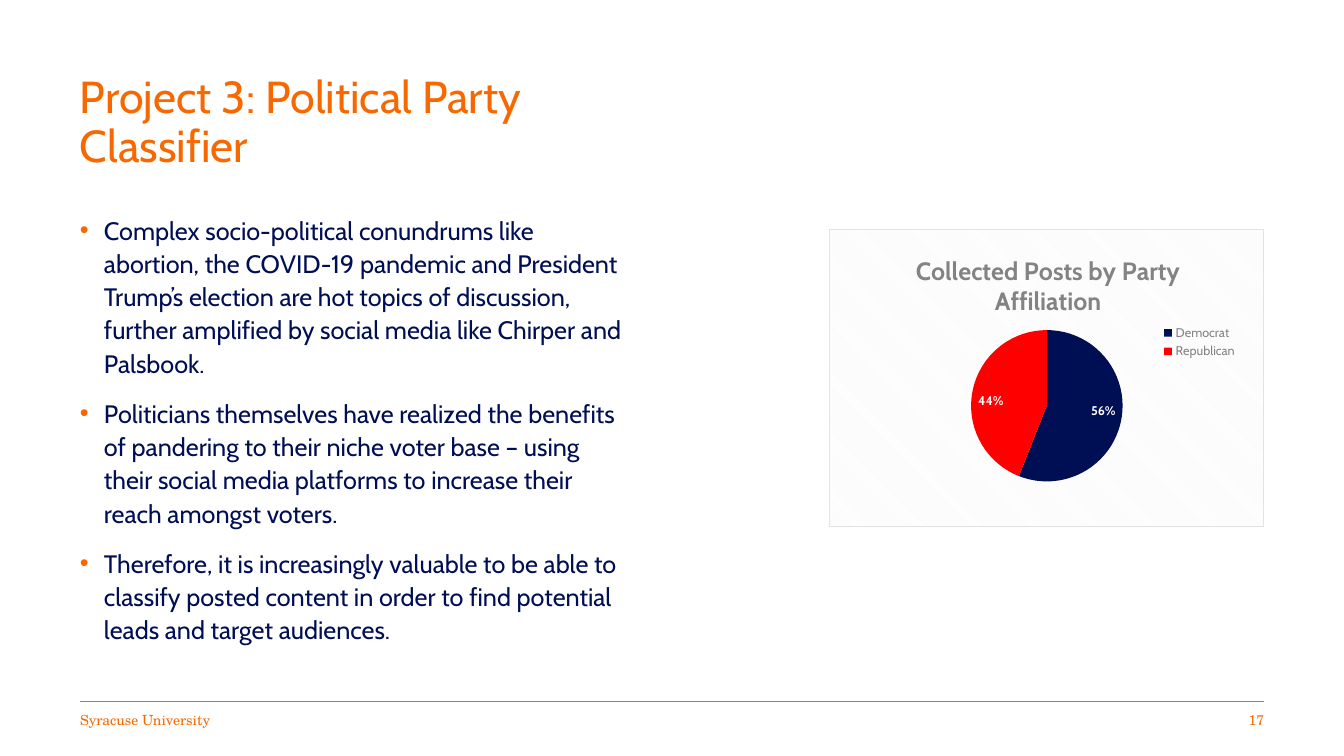
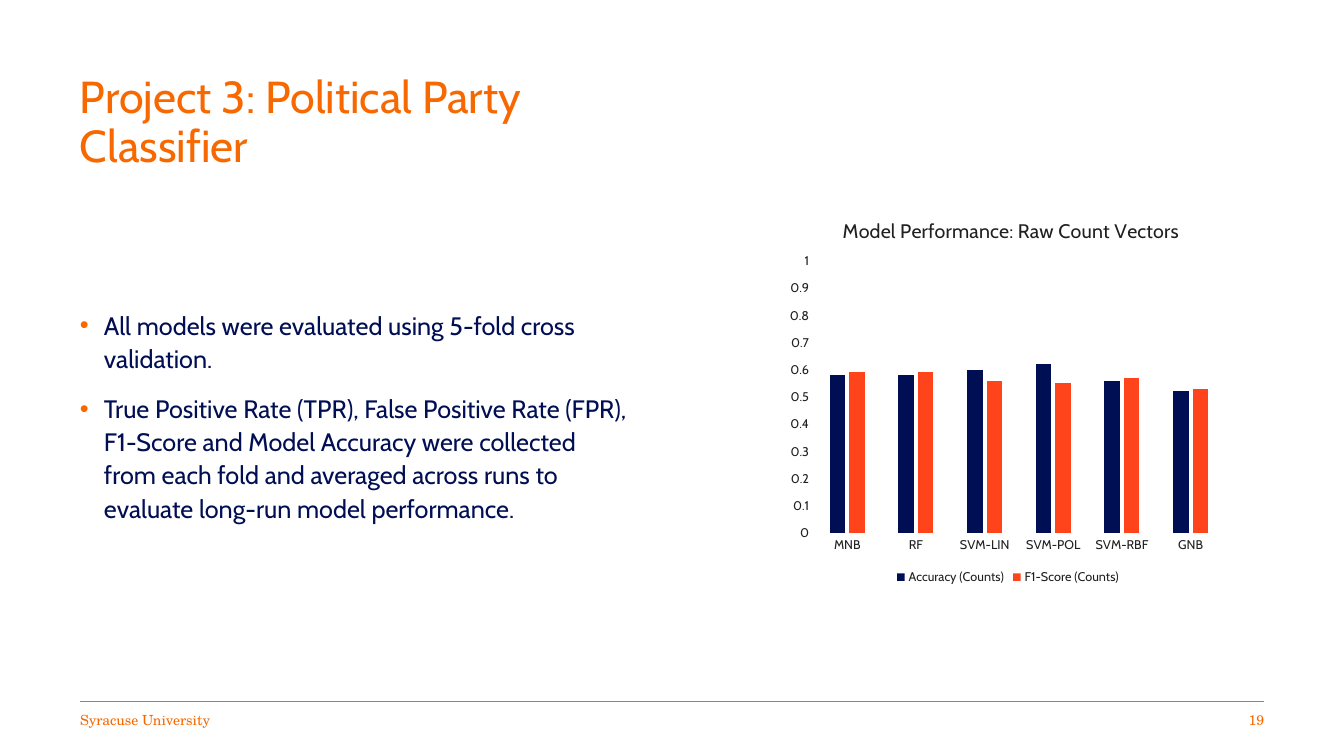
from lxml.etree import SubElement
from pptx import Presentation
from pptx.chart.data import CategoryChartData
from pptx.dml.color import RGBColor
from pptx.enum.chart import XL_CHART_TYPE as ChartType
from pptx.enum.chart import XL_LABEL_POSITION as LabelPosition
from pptx.enum.chart import XL_LEGEND_POSITION as LegendPosition
from pptx.enum.chart import XL_TICK_MARK as TickMark
from pptx.enum.shapes import MSO_CONNECTOR
from pptx.enum.text import PP_ALIGN
from pptx.oxml import parse_xml
from pptx.oxml.ns import nsdecls, qn
from pptx.util import Pt

PX = 914400 / 100.8
SLIDE_WIDTH, SLIDE_HEIGHT = 1344, 756
LEFT, RIGHT = 80, 1264
TEXT_WIDTH = 552
BULLET_INDENT = 24
COLORS = {
    "orange": "F76900", "navy": "000E54", "red": "FF0000", "coral": "FF431B",
    "ink": "202020", "gray": "828482", "border": "E2E3E2", "white": "FFFFFF",
    "stripe": "F2F2F2",
}
RGB = {name: RGBColor.from_string(value) for name, value in COLORS.items()}
BODY_FONT, FOOTER_FONT = "Cabin", "TeX Gyre Schola"


def add_text(slide, box, texts, font_name, size, color, line_spacing=1.0,
             align=PP_ALIGN.LEFT, bullets=False):
    left, top, width, height = [round(value * PX) for value in box]
    frame = slide.shapes.add_textbox(left, top, width, height).text_frame
    frame.word_wrap = True
    frame.margin_left = frame.margin_top = frame.margin_right = frame.margin_bottom = 0
    for index, text in enumerate(texts):
        paragraph = frame.add_paragraph() if index else frame.paragraphs[0]
        paragraph.alignment = align
        paragraph.line_spacing = line_spacing
        if bullets:
            paragraph.space_after = Pt(12)
            properties = paragraph._p.get_or_add_pPr()
            properties.set("marL", str(round(BULLET_INDENT * PX)))
            properties.set("indent", str(round(-BULLET_INDENT * PX)))
            bullet_color = SubElement(properties, qn("a:buClr"))
            SubElement(bullet_color, qn("a:srgbClr"), val=COLORS["orange"])
            SubElement(properties, qn("a:buFont"), typeface="Arial")
            SubElement(properties, qn("a:buChar"), char="•")
        run = paragraph.add_run()
        run.text = text
        run.font.name = font_name
        run.font.size = Pt(size)
        run.font.color.rgb = RGB[color]


def place_in_chart(chart, tag, chart_box, part_box):
    """Pin a chart part to slide pixels; part_box may omit width and height."""
    part = chart.element.find(".//" + qn(tag))
    for old_layout in part.findall(qn("c:layout")):
        part.remove(old_layout)
    layout = parse_xml(f"<c:layout {nsdecls('c')}/>")
    manual = SubElement(layout, qn("c:manualLayout"))
    if tag == "c:plotArea":
        SubElement(manual, qn("c:layoutTarget"), val="inner")
    for mode in ("xMode", "yMode"):
        SubElement(manual, qn("c:" + mode), val="edge")
    left, top, width, height = chart_box
    offsets = (part_box[0] - left, part_box[1] - top, *part_box[2:])
    for name, offset, whole in zip("xywh", offsets, (width, height, width, height)):
        SubElement(manual, qn("c:" + name), val=f"{offset / whole:.4f}")
    leading = {"c:title": "c:tx", "c:legend": "c:legendPos"}.get(tag)
    if leading:
        part.find(qn(leading)).addnext(layout)
    else:
        part.insert(0, layout)


slides = [
    {
        "number": "17",
        "body_box": (LEFT, 212, TEXT_WIDTH, 449),
        "bullets": [
            "Complex socio-political conundrums like abortion, the COVID-19 pandemic and "
            "President Trump’s election are hot topics of discussion, further amplified by "
            "social media like Chirper and Palsbook.",
            "Politicians themselves have realized the benefits of pandering to their niche "
            "voter base – using their social media platforms to increase their reach "
            "amongst voters.",
            "Therefore, it is increasingly valuable to be able to classify posted content in "
            "order to find potential leads and target audiences.",
        ],
        "type": ChartType.PIE,
        "chart_box": (829, 229, 435, 298),
        "title": "Collected Posts by Party Affiliation",
        "title_style": (18, True, "gray"),
        "title_at": (911, 248),
        "plot_box": (971, 330, 152, 152),
        "legend_box": (1158, 322, 84, 40),
        "legend_color": "gray",
        "categories": ["Democrat", "Republican"],
        "series": {"Series 1": [56, 44]},
        "fills": ["navy", "red"],
    },
    {
        "number": "19",
        "body_box": (LEFT, 307, TEXT_WIDTH, 214),
        "bullets": [
            "All models were evaluated using 5-fold cross validation.",
            "True Positive Rate (TPR), False Positive Rate (FPR), F1-Score and Model "
            "Accuracy were collected from each fold and averaged across runs to evaluate "
            "long-run model performance.",
        ],
        "type": ChartType.COLUMN_CLUSTERED,
        "chart_box": (780, 196, 454, 396),
        "title": "Model Performance: Raw Count Vectors",
        "title_style": (14, False, "ink"),
        "title_at": (839, 214),
        "plot_box": (813, 261, 412, 272),
        "legend_box": (892, 570, 232, 20),
        "legend_color": "ink",
        "categories": ["MNB", "RF", "SVM-LIN", "SVM-POL", "SVM-RBF", "GNB"],
        "series": {
            "Accuracy (Counts)": [0.58, 0.58, 0.6, 0.62, 0.56, 0.52],
            "F1-Score (Counts)": [0.59, 0.59, 0.56, 0.55, 0.57, 0.53],
        },
        "fills": ["navy", "coral"],
    },
]

presentation = Presentation()
presentation.slide_width = round(SLIDE_WIDTH * PX)
presentation.slide_height = round(SLIDE_HEIGHT * PX)

for content in slides:
    slide = presentation.slides.add_slide(presentation.slide_layouts[6])

    rule = slide.shapes.add_connector(
        MSO_CONNECTOR.STRAIGHT, *[round(value * PX) for value in (LEFT, 701, RIGHT, 701)])
    rule.line.color.rgb = RGB["orange"]
    rule.line.width = Pt(0.5)
    SubElement(rule._element.spPr, qn("a:effectLst"))
    add_text(slide, (LEFT, 712, 263, 27), ["Syracuse University"], FOOTER_FONT, 10, "orange")
    add_text(slide, (RIGHT - 263, 712, 263, 27), [content["number"]], FOOTER_FONT, 10,
             "orange", align=PP_ALIGN.RIGHT)
    add_text(slide, (LEFT, 75, TEXT_WIDTH, 41), ["Project 3: Political Party Classifier"],
             BODY_FONT, 32, "orange", line_spacing=0.9)
    add_text(slide, content["body_box"], content["bullets"], BODY_FONT, 18, "navy",
             line_spacing=1.1, bullets=True)

    chart_data = CategoryChartData()
    chart_data.categories = content["categories"]
    for name, values in content["series"].items():
        chart_data.add_series(name, values)
    chart_box = content["chart_box"]
    chart = slide.shapes.add_chart(
        content["type"], *[round(value * PX) for value in chart_box], chart_data).chart
    chart.font.name = BODY_FONT
    chart.font.size = Pt(10)
    chart.font.color.rgb = RGB["ink"]

    chart.has_title = True
    title_run = chart.chart_title.text_frame.paragraphs[0].add_run()
    title_run.text = content["title"]
    size, bold, color = content["title_style"]
    title_run.font.name = BODY_FONT
    title_run.font.size = Pt(size)
    title_run.font.bold = bold
    title_run.font.color.rgb = RGB[color]

    chart.has_legend = True
    chart.legend.position = LegendPosition.BOTTOM
    chart.legend.include_in_layout = False
    chart.legend.font.name = BODY_FONT
    chart.legend.font.size = Pt(9)
    chart.legend.font.color.rgb = RGB[content["legend_color"]]

    place_in_chart(chart, "c:title", chart_box, content["title_at"])
    place_in_chart(chart, "c:plotArea", chart_box, content["plot_box"])
    place_in_chart(chart, "c:legend", chart_box, content["legend_box"])

    plot = chart.plots[0]
    if content["type"] == ChartType.PIE:
        plot.vary_by_categories = True
        filled_parts = [plot.series[0].points[index] for index in range(len(content["fills"]))]
        plot.has_data_labels = True
        labels = plot.data_labels
        labels.show_percentage = True
        labels.show_value = False
        labels.number_format = "0%"
        labels.number_format_is_linked = False
        labels.position = LabelPosition.INSIDE_END
        labels.font.name = BODY_FONT
        labels.font.size = Pt(9)
        labels.font.bold = True
        labels.font.color.rgb = RGB["white"]
        chart.element.find(qn("c:chart")).addnext(parse_xml(
            f'<c:spPr {nsdecls("c", "a")}><a:pattFill prst="dkDnDiag">'
            f'<a:fgClr><a:srgbClr val="{COLORS["stripe"]}"/></a:fgClr>'
            f'<a:bgClr><a:srgbClr val="{COLORS["white"]}"/></a:bgClr></a:pattFill>'
            f'<a:ln w="{Pt(0.75)}"><a:solidFill><a:srgbClr val="{COLORS["border"]}"/>'
            '</a:solidFill></a:ln></c:spPr>'))
    else:
        plot.vary_by_categories = False
        plot.gap_width = 219
        plot.overlap = -27
        filled_parts = plot.series
        for axis in (chart.category_axis, chart.value_axis):
            axis.major_tick_mark = axis.minor_tick_mark = TickMark.NONE
            axis.has_major_gridlines = False
            axis.tick_labels.font.name = BODY_FONT
            axis.tick_labels.font.size = Pt(9)
            axis.tick_labels.font.color.rgb = RGB["ink"]
        chart.category_axis.format.line.color.rgb = RGB["white"]
        chart.category_axis.format.line.width = Pt(0.75)
        value_axis = chart.value_axis
        value_axis.format.line.fill.background()
        value_axis.minimum_scale = 0
        value_axis.maximum_scale = 1
        value_axis.major_unit = 0.1
        value_axis.has_major_gridlines = True
        value_axis.major_gridlines.format.line.color.rgb = RGB["white"]
        value_axis.major_gridlines.format.line.width = Pt(0.75)
    for part, color in zip(filled_parts, content["fills"]):
        part.format.fill.solid()
        part.format.fill.fore_color.rgb = RGB[color]

presentation.save("out.pptx")
